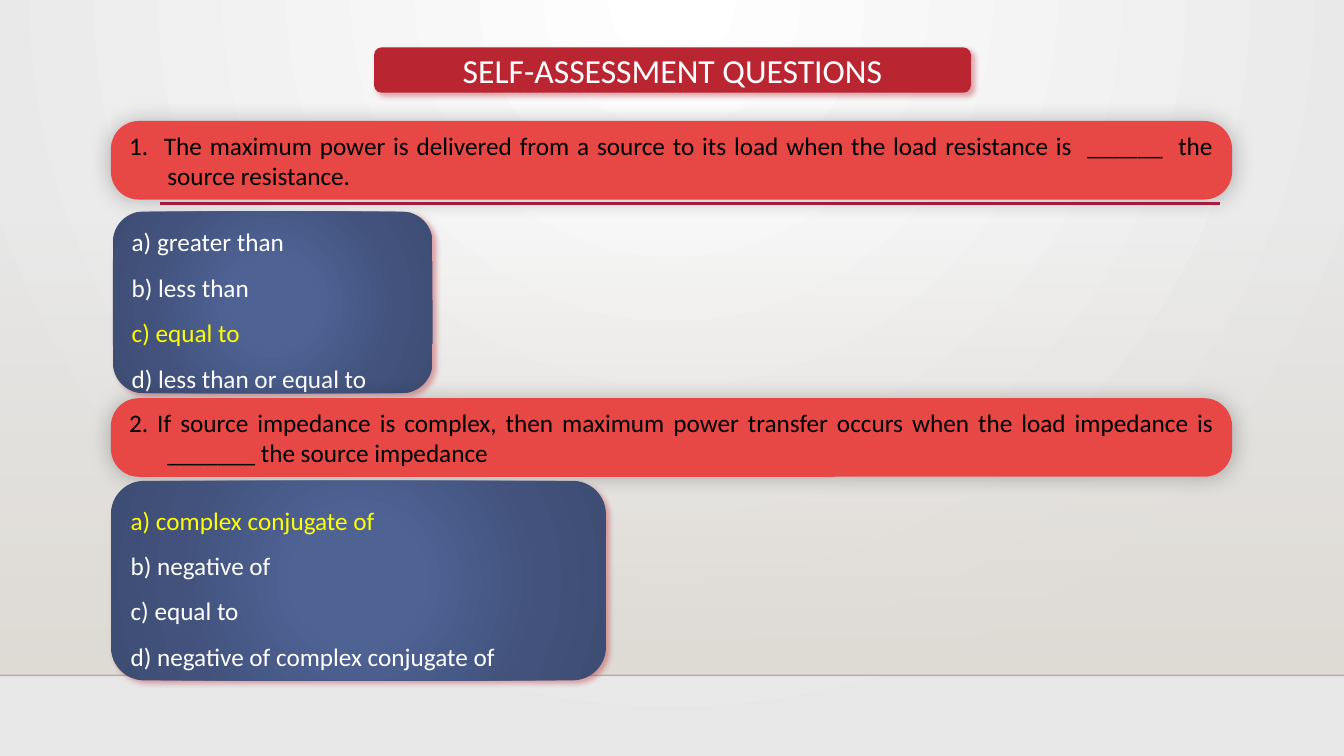
from dataclasses import dataclass

from lxml import etree
from pptx import Presentation
from pptx import oxml
from pptx.dml.color import RGBColor
from pptx.enum import shapes, text
from pptx.oxml import ns
from pptx.util import Inches, Pt


@dataclass(frozen=True)
class Theme:
    font: str = "Calibri"
    title_size: int = 24
    body_size: int = 18
    banner: str = "BA2532"
    question: str = "E84845"
    rule: str = "B71E42"
    floor_line: str = "000001"
    dark: str = "000000"
    light: str = "FFFFFF"
    correct: str = "FFFF00"
    backdrop: tuple = ((0, "FFFFFF", 100), (100, "E7E7E7", 100))
    wall: tuple = ((0, "DFDBD5", 0), (100, "DFDBD5", 100))
    answers: tuple = ((0, "4E6294", 100), (23, "4E6294", 100),
                      (69, "42527C", 100), (97, "3E4D74", 100))


theme = Theme()
NS = ns.nsdecls("a")
LINEAR = '<a:lin ang="5400000" scaled="0"/>'
RADIAL = ('<a:path path="circle"><a:fillToRect l="{}000" t="{}000" '
          'r="{}000" b="{}000"/></a:path>')


def set_gradient(fill, holder, stops, direction):
    """Give holder, the element that owns fill, a gradient of (position, colour, opacity) stops."""
    fill.solid()
    marks = "".join(
        f'<a:gs pos="{pos}000"><a:srgbClr val="{color}">'
        f'<a:alpha val="{opacity}000"/></a:srgbClr></a:gs>'
        for pos, color, opacity in stops)
    gradient = oxml.parse_xml(
        f'<a:gradFill {NS} rotWithShape="1"><a:gsLst>{marks}</a:gsLst>{direction}</a:gradFill>')
    holder.replace(holder.find(ns.qn("a:solidFill")), gradient)


def add_panel(box, color, shadow, corner=0.1667):
    """Add a rounded panel; shadow is (colour, opacity, blur, distance, angle)."""
    panel = slide.shapes.add_shape(
        shapes.MSO_SHAPE.ROUNDED_RECTANGLE, *map(Inches, box))
    panel.adjustments[0] = corner
    panel.line.fill.background()
    properties = panel.element.spPr
    if isinstance(color, str):
        panel.fill.solid()
        panel.fill.fore_color.rgb = RGBColor.from_string(color)
    else:
        set_gradient(panel.fill, properties, color, RADIAL.format(50, 50, 50, 50))
    shade, opacity, blur, distance, angle = shadow
    properties.append(oxml.parse_xml(
        f'<a:effectLst {NS}><a:outerShdw blurRad="{Pt(blur)}" dist="{Pt(distance)}" '
        f'dir="{angle * 60000}" algn="ctr" rotWithShape="0"><a:srgbClr val="{shade}">'
        f'<a:alpha val="{opacity}000"/></a:srgbClr></a:outerShdw></a:effectLst>'))
    panel.text_frame.vertical_anchor = text.MSO_ANCHOR.MIDDLE
    return panel.text_frame


presentation = Presentation()
presentation.slide_width = Inches(13.33)
presentation.slide_height = Inches(7.5)
slide = presentation.slides.add_slide(presentation.slide_layouts[6])

# Backdrop
backdrop_fill = slide.background.fill
backdrop_fill.solid()
set_gradient(backdrop_fill, slide.element.find(".//" + ns.qn("p:bgPr")),
             theme.backdrop, RADIAL.format(43, 0, 43, 100))
wall = slide.shapes.add_shape(
    shapes.MSO_SHAPE.RECTANGLE, 0, Inches(2.21), Inches(13.33), Inches(4.49))
wall.shadow.inherit = False
wall.line.fill.background()
set_gradient(wall.fill, wall.element.spPr, theme.wall, LINEAR)

for left, right, top, color, width, opacity in (
        (0, 13.33, 6.7, theme.floor_line, 1, 20),
        (1.59, 12.1, 2.02, theme.rule, 2.5, 100)):
    rule = slide.shapes.add_connector(
        shapes.MSO_CONNECTOR.STRAIGHT,
        Inches(left), Inches(top), Inches(right), Inches(top))
    rule.line.color.rgb = RGBColor.from_string(color)
    rule.line.width = Pt(width)
    properties = rule.element.spPr
    alpha = etree.SubElement(properties.find(".//" + ns.qn("a:srgbClr")), ns.qn("a:alpha"))
    alpha.set("val", f"{opacity}000")
    etree.SubElement(properties, ns.qn("a:effectLst"))

# Title
red_shadow = (theme.banner, 40, 4, 3, 45)
soft_shadow = (theme.dark, 25, 15, 0, 0)
title = add_panel((3.71, 0.47, 5.92, 0.45), theme.banner, red_shadow).paragraphs[0]
title.alignment = text.PP_ALIGN.CENTER
title_run = title.add_run()
title_run.text = "SELF-ASSESSMENT QUESTIONS"
title_run.font.name = theme.font
title_run.font.size = Pt(theme.title_size)
title_run.font.color.rgb = RGBColor.from_string(theme.light)

# Questions with their answers
questions = (
    (1.2, "1.  The maximum power is delivered from a source to its load when "
          "the load resistance is  ______  the source resistance.",
     (1.12, 2.1, 3.17, 1.8),
     ("a) greater than", "b) less than", "c) equal to", "d) less than or equal to"),
     "c) equal to"),
    (3.95, "2. If source impedance is complex, then maximum power transfer occurs "
           "when the load impedance is _______ the source impedance",
     (1.1, 4.77, 4.91, 1.98),
     ("a) complex conjugate of", "b) negative of", "c) equal to",
      "d) negative of complex conjugate of"),
     "a) complex conjugate of"),
)
for top, question, answer_box, answers, correct in questions:
    prompt = add_panel(
        (1.1, top, 11.12, 0.78), theme.question, soft_shadow, 0.356).paragraphs[0]
    prompt.alignment = text.PP_ALIGN.JUSTIFY
    indents = prompt._p.get_or_add_pPr()
    indents.set("marL", str(Inches(0.38)))
    indents.set("indent", str(Inches(-0.38)))
    prompt_run = prompt.add_run()
    prompt_run.text = question
    prompt_run.font.name = theme.font
    prompt_run.font.size = Pt(theme.body_size)
    prompt_run.font.color.rgb = RGBColor.from_string(theme.dark)

    answer_frame = add_panel(answer_box, theme.answers, red_shadow)
    for number, answer in enumerate(answers):
        choice = answer_frame.add_paragraph() if number else answer_frame.paragraphs[0]
        choice.alignment = text.PP_ALIGN.LEFT
        choice.line_spacing = 1.5
        choice_run = choice.add_run()
        choice_run.text = answer
        choice_run.font.name = theme.font
        choice_run.font.size = Pt(theme.body_size)
        choice_run.font.color.rgb = RGBColor.from_string(
            theme.correct if answer == correct else theme.light)

presentation.save("out.pptx")
